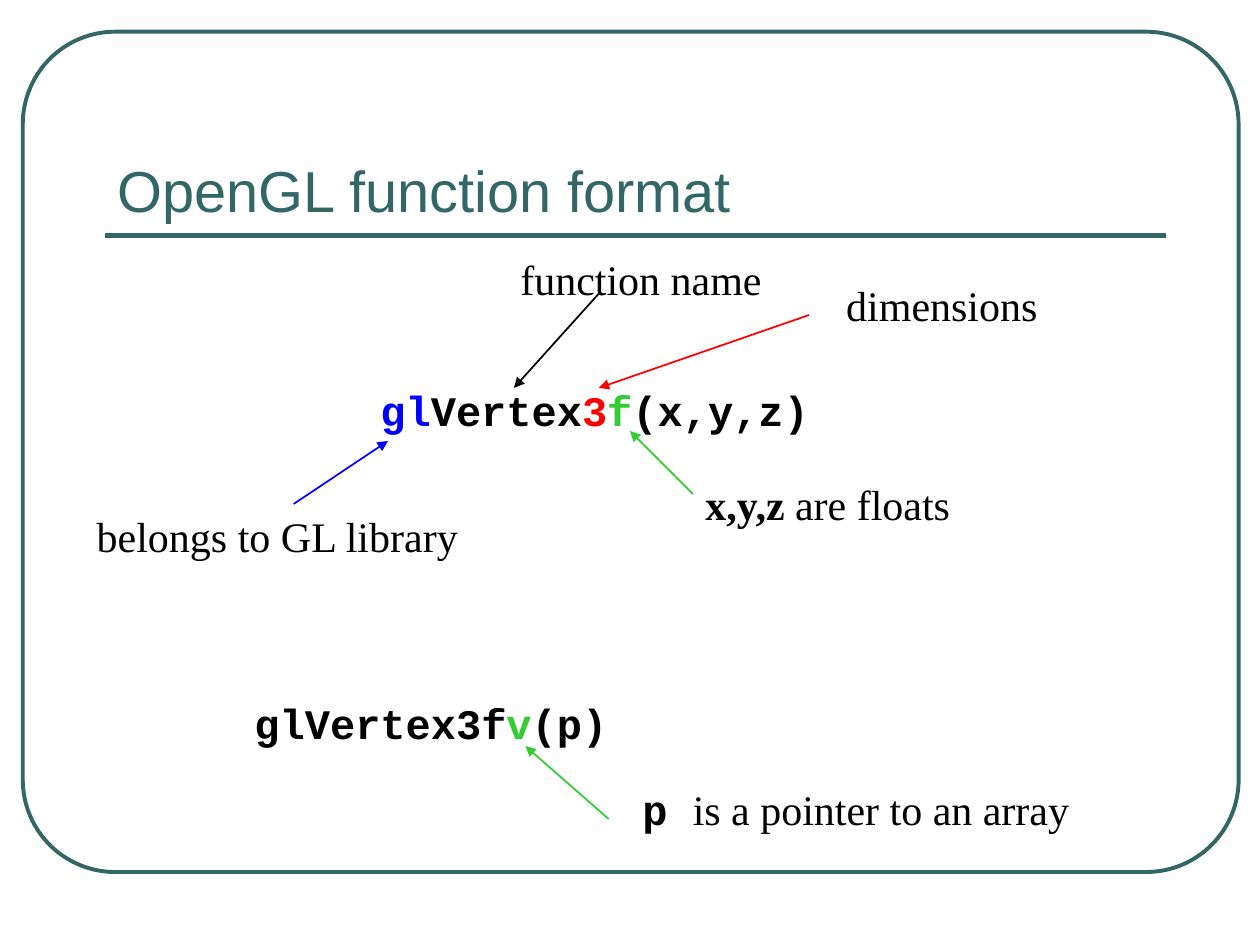
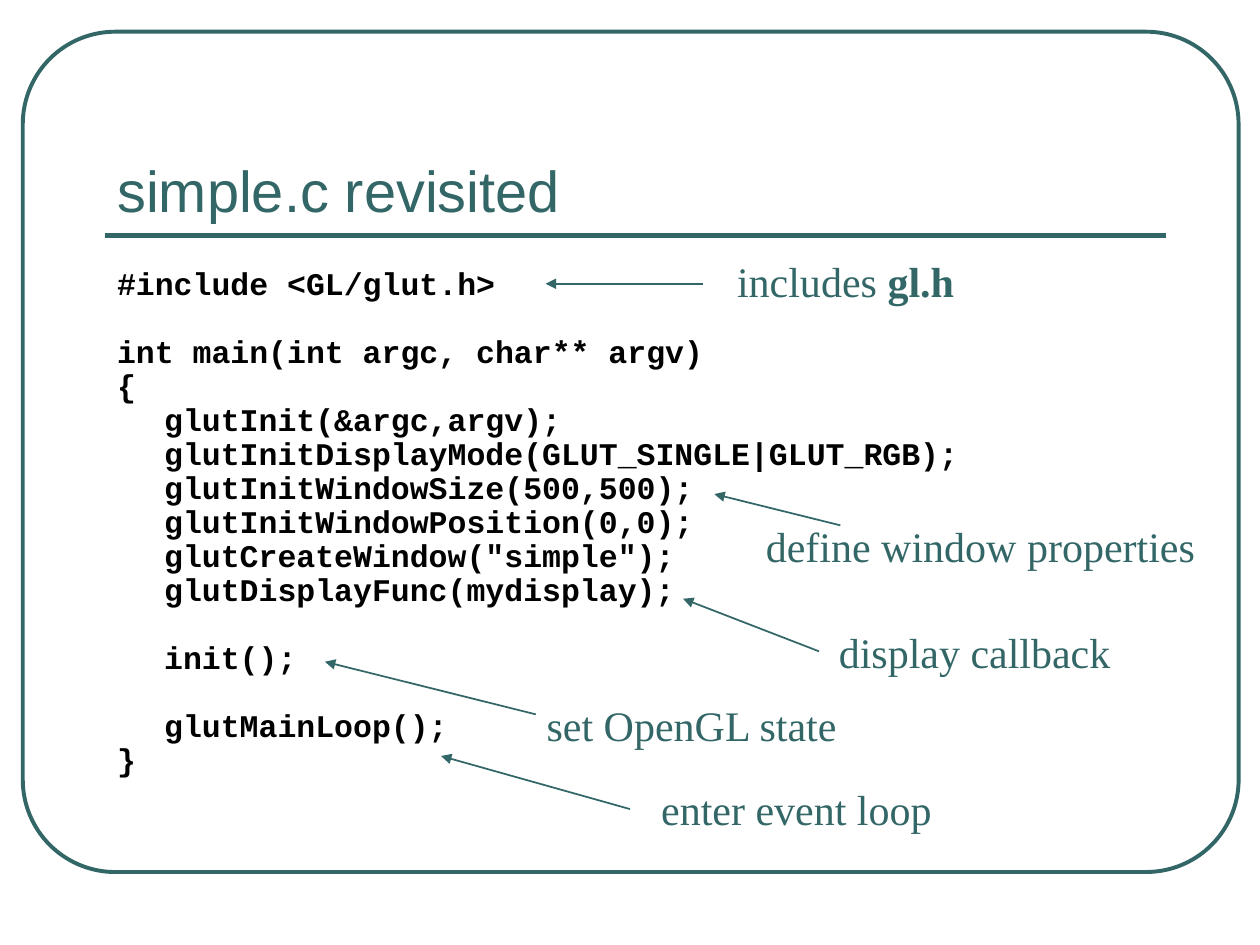
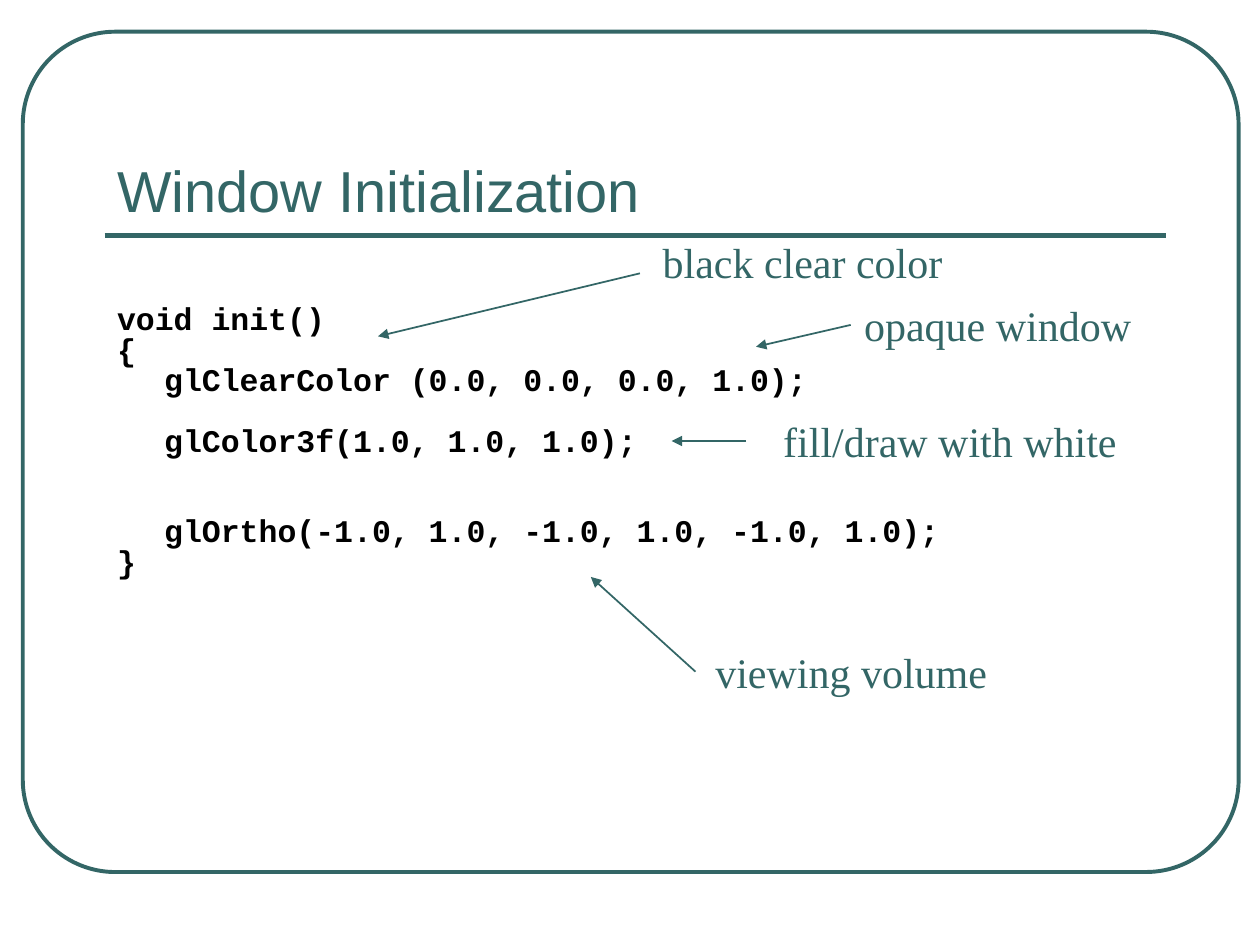
"""Build three slides that explain OpenGL function names and a first program."""
from dataclasses import dataclass

from lxml import etree
from pptx import Presentation, util as u
from pptx.dml.color import RGBColor
from pptx.enum import shapes, text
from pptx.oxml.ns import qn


@dataclass(frozen=True)
class Theme:
    teal: str = "336666"
    black: str = "000000"
    blue: str = "0000FF"
    red: str = "FF0000"
    green: str = "33CC33"
    heading: str = "Arial"
    code: str = "Courier New"
    label: str = "Times New Roman"
    title_size: int = 33
    label_size: int = 24
    code_size: int = 18
    frame_width: float = 2.25
    rule_width: float = 3
    arrow_width: float = 1


THEME = Theme()
FRAME = (0.46, 0.64, 24.51, 16.94)
FRAME_ROUNDING = 0.11
RULE = ((2.11, 4.75), (23.5, 4.75))
TITLE = (2.11, 1.47, 21.39, 3.18)
LABEL_HEIGHT = 1.27
LABEL_SLACK = 0.3
CODE_INDENT = 0.95
CODE_LINE_HEIGHT = 1.2

CODE = dict(font=THEME.code, bold=True)
BLACK = dict(color=THEME.black)
BLACK_CODE = CODE | BLACK
BLUE_CODE = CODE | dict(color=THEME.blue)
RED_CODE = CODE | dict(color=THEME.red)
GREEN_CODE = CODE | dict(color=THEME.green)

SLIDES = [
    dict(
        title="OpenGL function format",
        labels=[
            ((7.42, 7.62, 9.14), [("gl", BLUE_CODE), ("Vertex", BLACK_CODE), ("3", RED_CODE),
                                  ("f", GREEN_CODE), ("(x,y,z)", BLACK_CODE)]),
            ((1.7, 10.16, 7.82), [("belongs to GL library", BLACK)]),
            ((10.24, 4.98, 5.36), [("function name", BLACK)]),
            ((13.97, 9.53, 5.49), [("x,y,z", BLACK | dict(bold=True)), (" are floats", BLACK)]),
            ((4.88, 13.94, 7.62), [("glVertex3f", BLACK_CODE), ("v", GREEN_CODE),
                                   ("(p)", BLACK_CODE)]),
            ((12.7, 15.67, 9.12), [("p ", BLACK_CODE), ("is a pointer to an array", BLACK)]),
            ((16.81, 5.51, 4.37), [("dimensions", BLACK)]),
        ],
        arrows=[
            ((5.92, 10.16), (7.82, 8.89), THEME.blue),
            ((12.07, 5.92), (10.36, 7.82), THEME.black),
            ((13.97, 9.96), (12.7, 8.69), THEME.green),
            ((12.27, 16.51), (10.59, 15.04), THEME.green),
            ((16.31, 6.35), (12.07, 7.82), THEME.red),
        ],
    ),
    dict(
        title="simple.c revisited",
        code_box=(2.11, 5.28, 21.39, 11.22),
        line_spacing=0.9,
        code=[
            "#include <GL/glut.h>",
            "",
            "int main(int argc, char** argv)",
            "{",
            "  glutInit(&argc,argv);",
            "  glutInitDisplayMode(GLUT_SINGLE|GLUT_RGB);",
            "  glutInitWindowSize(500,500);",
            "  glutInitWindowPosition(0,0);",
            '  glutCreateWindow("simple");',
            "  glutDisplayFunc(mydisplay);",
            "",
            "  init();",
            "",
            "  glutMainLoop();",
            "}",
        ],
        labels=[
            ((14.61, 5.03, 4.88), [("includes ", {}), ("gl.h", dict(bold=True))]),
            ((15.19, 10.36, 9.14), [("define window properties", {})]),
            ((10.77, 13.97, 6.38), [("set OpenGL state", {})]),
            ((13.08, 15.67, 5.94), [("enter event loop", {})]),
            ((16.66, 12.5, 5.97), [("display callback", {})]),
        ],
        arrows=[
            ((14.17, 5.72), (11, 5.72), THEME.teal),
            ((16.94, 10.59), (14.4, 9.96), THEME.teal),
            ((10.8, 14.4), (6.55, 13.34), THEME.teal),
            ((12.7, 16.31), (8.89, 15.24), THEME.teal),
            ((16.51, 13.13), (13.77, 12.07), THEME.teal),
        ],
    ),
    dict(
        title="Window Initialization",
        code_box=(2.11, 6.06, 21.39, 10.44),
        line_spacing=0.8,
        code=[
            "void init()",
            "{",
            "  glClearColor (0.0, 0.0, 0.0, 1.0);",
            "",
            "  glColor3f(1.0, 1.0, 1.0);",
            "",
            "",
            "  glOrtho(-1.0, 1.0, -1.0, 1.0, -1.0, 1.0);",
            "}",
        ],
        labels=[
            ((13.11, 4.65, 6.15), [("black clear color", {})]),
            ((17.17, 5.92, 5.89), [("opaque window", {})]),
            ((15.54, 8.26, 7.24), [("fill/draw with white", {})]),
            ((14.17, 12.9, 5.97), [("viewing volume", {})]),
        ],
        arrows=[
            ((12.9, 5.51), (7.62, 6.78), THEME.teal),
            ((17.15, 6.55), (15.24, 6.99), THEME.teal),
            ((15.04, 8.89), (13.54, 8.89), THEME.teal),
            ((14.02, 13.54), (11.91, 11.63), THEME.teal),
        ],
    ),
]


def lengths(values):
    return [u.Cm(value) for value in values]


def add_run(paragraph, words, *, font=THEME.label, size=THEME.label_size,
            color=THEME.teal, bold=False):
    run = paragraph.add_run()
    run.text = words
    run.font.name = font
    run.font.size = u.Pt(size)
    run.font.bold = bold
    run.font.color.rgb = RGBColor.from_string(color)


def add_line(slide, start, end, color, width, arrow=False):
    line = slide.shapes.add_connector(
        shapes.MSO_CONNECTOR.STRAIGHT, *lengths(start), *lengths(end))
    line.line.color.rgb = RGBColor.from_string(color)
    line.line.width = u.Pt(width)
    if arrow:
        etree.SubElement(line.line._get_or_add_ln(), qn("a:tailEnd"), type="triangle")
    etree.SubElement(line._element.spPr, qn("a:effectLst"))


def add_frame(slide):
    frame = slide.shapes.add_shape(shapes.MSO_SHAPE.ROUNDED_RECTANGLE, *lengths(FRAME))
    frame.adjustments[0] = FRAME_ROUNDING
    frame.shadow.inherit = False
    frame.fill.background()
    frame.line.color.rgb = RGBColor.from_string(THEME.teal)
    frame.line.width = u.Pt(THEME.frame_width)
    add_line(slide, *RULE, THEME.teal, THEME.rule_width)


def set_title(slide, words):
    title = slide.shapes.title
    title.left, title.top, title.width, title.height = lengths(TITLE)
    frame = title.text_frame
    frame.vertical_anchor = text.MSO_ANCHOR.BOTTOM
    frame.auto_size = text.MSO_AUTO_SIZE.NONE
    paragraph = frame.paragraphs[0]
    paragraph.alignment = text.PP_ALIGN.LEFT
    add_run(paragraph, words, font=THEME.heading, size=THEME.title_size)


def add_label(slide, place, runs):
    left, top, width = place
    box = lengths((left, top, width + LABEL_SLACK, LABEL_HEIGHT))
    frame = slide.shapes.add_textbox(*box).text_frame
    frame.word_wrap = True
    for words, style in runs:
        add_run(frame.paragraphs[0], words, **style)


def add_code(slide, box, lines, line_spacing):
    frame = slide.shapes.add_textbox(*lengths(box)).text_frame
    frame.word_wrap = True
    pitch = THEME.code_size * CODE_LINE_HEIGHT * line_spacing
    paragraph, skipped = frame.paragraphs[0], 0
    for number, line in enumerate(lines):
        if not line:
            skipped += 1
            continue
        if number:
            paragraph = frame.add_paragraph()
            paragraph.space_before = u.Pt(round(skipped * pitch, 1))
        paragraph.line_spacing = line_spacing
        if line.startswith(" "):
            paragraph._p.get_or_add_pPr().set("marL", str(u.Cm(CODE_INDENT)))
        add_run(paragraph, line.lstrip(), size=THEME.code_size, **BLACK_CODE)
        skipped = 0


def main():
    presentation = Presentation()
    presentation.slide_width, presentation.slide_height = lengths((25.4, 19.05))
    title_only = presentation.slide_layouts[5]
    for content in SLIDES:
        slide = presentation.slides.add_slide(title_only)
        add_frame(slide)
        set_title(slide, content["title"])
        if "code" in content:
            add_code(slide, content["code_box"], content["code"], content["line_spacing"])
        for start, end, color in content["arrows"]:
            add_line(slide, start, end, color, THEME.arrow_width, arrow=True)
        for place, runs in content["labels"]:
            add_label(slide, place, runs)
    presentation.save("out.pptx")


if __name__ == "__main__":
    main()
